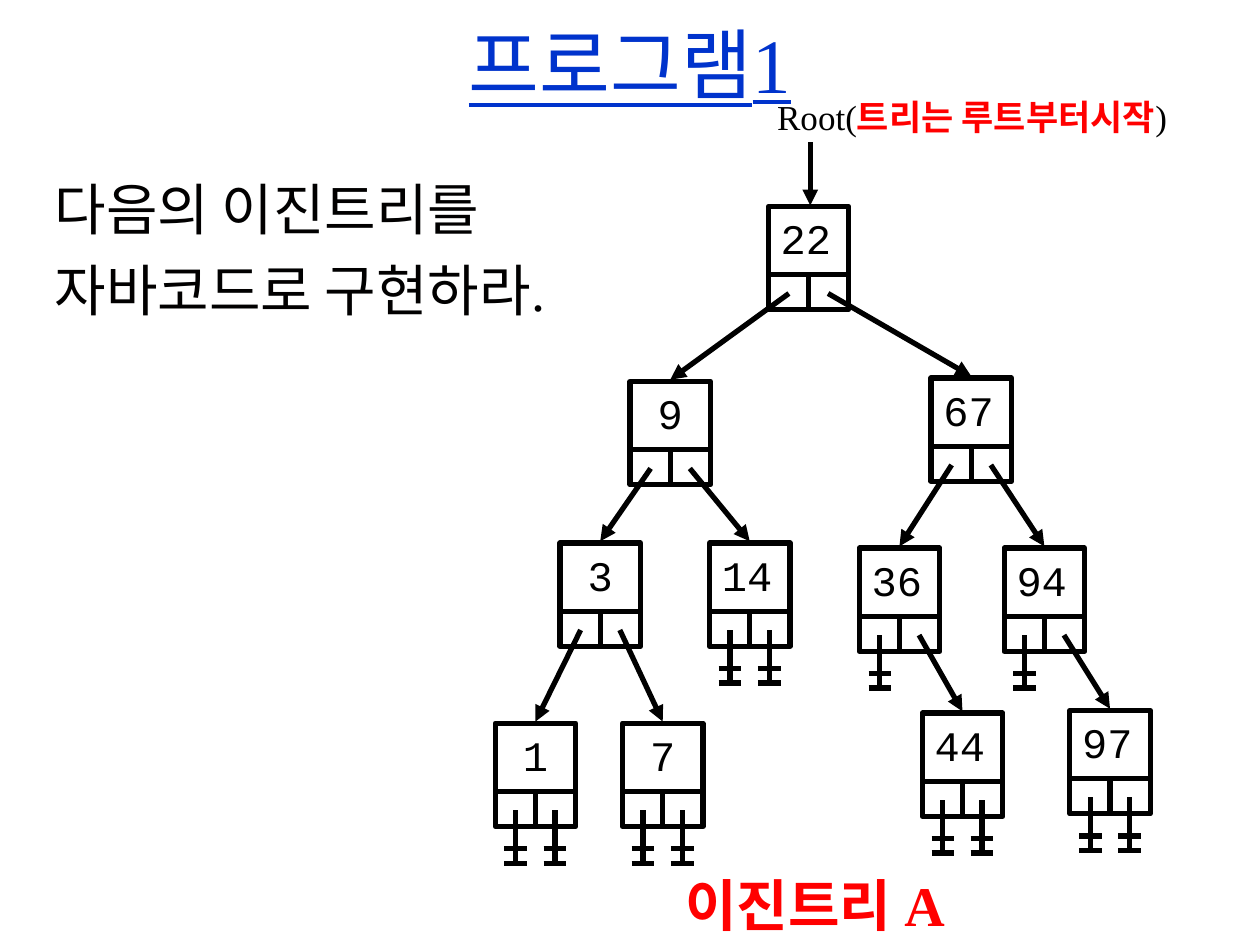
"""Builds a slide that shows a linked binary tree to be written in Java."""
from lxml import etree
from pptx import Presentation
from pptx.dml.color import RGBColor
from pptx.enum.shapes import MSO_CONNECTOR, MSO_SHAPE
from pptx.enum.text import MSO_ANCHOR, MSO_AUTO_SIZE, PP_ALIGN
from pptx.oxml.ns import qn
from pptx.util import Pt

LEFT, CENTER = PP_ALIGN.LEFT, PP_ALIGN.CENTER
TOP, MIDDLE = MSO_ANCHOR.TOP, MSO_ANCHOR.MIDDLE
RECT, STRAIGHT = MSO_SHAPE.RECTANGLE, MSO_CONNECTOR.STRAIGHT

TITLE = "프로그램1"
BODY = ["다음의 이진트리를", "자바코드로 구현하라."]
ROOT_LABEL = [("Root(", "ink", False), ("트리는 루트부터시작", "accent", True), (")", "ink", False)]
CAPTION = [("이진트리 A", "accent", True)]
TREE = {
    22: {"at": (439, 118), "children": (9, 67)},
    9: {"at": (360, 218), "children": (3, 14)},
    67: {"at": (532, 216), "children": (36, 94)},
    3: {"at": (320, 310.3), "children": (1, 7)},
    14: {"at": (405.4, 310.3), "children": (None, None)},
    36: {"at": (491, 313.2), "children": (None, 44)},
    94: {"at": (573.8, 313.2), "children": (None, 97)},
    1: {"at": (283, 413.3), "children": (None, None)},
    7: {"at": (355.7, 413.3), "children": (None, None)},
    44: {"at": (527, 407.5), "children": (None, None)},
    97: {"at": (611.3, 406), "children": (None, None)},
}
THEME = {
    "title": RGBColor(0x00, 0x33, 0xCC),
    "body": RGBColor(0x01, 0x00, 0x00),
    "ink": RGBColor(0x00, 0x00, 0x00),
    "accent": RGBColor(0xFF, 0x00, 0x00),
    "text_font": "Times New Roman",
    "code_font": "Courier New",
    "title_size": 44,
    "body_size": 32,
    "label_size": 20,
    "node_size": 24,
    "line": 3,
}
NODE_W, VALUE_H, LINK_H = 46, 39, 20
LINK_X, LINK_Y = (11.8, 34.2), 49.7
STEM, BAR_Y, BAR_HALF = 32, (22, 30.3), 6.5


def style(r, size, color, font="text_font", bold=False):
    r.font.name = THEME[font]
    r.font.size = Pt(THEME[size])
    r.font.bold = bold
    r.font.color.rgb = THEME[color]


def place(s, left, top, width, height):
    s.left, s.top, s.width, s.height = Pt(left), Pt(top), Pt(width), Pt(height)


def add_line(shapes, x1, y1, x2, y2, arrow=False):
    s = shapes.add_connector(STRAIGHT, Pt(x1), Pt(y1), Pt(x2), Pt(y2))
    s.line.color.rgb = THEME["ink"]
    s.line.width = Pt(THEME["line"])
    if arrow:
        etree.SubElement(s.line._get_or_add_ln(), qn("a:tailEnd"), type="triangle")
    etree.SubElement(s._element.spPr, qn("a:effectLst"))


def add_cell(shapes, left, top, height):
    s = shapes.add_shape(RECT, Pt(left), Pt(top), Pt(NODE_W), Pt(height))
    s.shadow.inherit = False
    s.fill.background()
    s.line.color.rgb = THEME["ink"]
    s.line.width = Pt(THEME["line"])
    return s


def add_node(shapes, value, left, top):
    group = shapes.add_group_shape().shapes
    tf = add_cell(group, left, top, VALUE_H).text_frame
    tf.word_wrap = True
    tf.vertical_anchor = TOP
    tf.text = str(value)
    p = tf.paragraphs[0]
    p.alignment = CENTER if value < 10 else LEFT
    style(p.runs[0], "node_size", "ink", "code_font")
    link_top = top + VALUE_H
    add_cell(group, left, link_top, LINK_H)
    middle = left + NODE_W / 2
    add_line(group, middle, link_top, middle, link_top + LINK_H)


def add_ground(shapes, x, y):
    group = shapes.add_group_shape().shapes
    add_line(group, x, y, x, y + STEM)
    for offset in BAR_Y:
        add_line(group, x - BAR_HALF, y + offset, x + BAR_HALF, y + offset)


def add_label(shapes, parts, size, left, top, width, height):
    s = shapes.add_textbox(Pt(left), Pt(top), Pt(width), Pt(height))
    tf = s.text_frame
    tf.word_wrap = False
    p = tf.paragraphs[0]
    for text, color, bold in parts:
        r = p.add_run()
        r.text = text
        style(r, size, color, bold=bold)


def fill_placeholders(slide):
    title, body = slide.placeholders
    place(title, 0, 0, 720, 72)
    tf = title.text_frame
    tf.text = TITLE
    tf.vertical_anchor = MIDDLE
    tf.paragraphs[0].alignment = CENTER
    r = tf.paragraphs[0].runs[0]
    style(r, "title_size", "title")
    r.font.underline = True

    place(body, 24, 96, 666, 384)
    tf = body.text_frame
    tf.text = "\n".join(BODY)
    tf.auto_size = MSO_AUTO_SIZE.NONE
    for i, p in enumerate(tf.paragraphs):
        pPr = p._p.get_or_add_pPr()
        pPr.set("marL", str(Pt(27)))
        pPr.set("indent", str(Pt(-27)))
        etree.SubElement(pPr, qn("a:buNone"))
        p.space_before = Pt(8 if i else 0)
        style(p.runs[0], "body_size", "body")


def main():
    prs = Presentation()
    prs.slide_width, prs.slide_height = Pt(720), Pt(540)
    slide = prs.slides.add_slide(prs.slide_layouts[1])
    shapes = slide.shapes
    fill_placeholders(slide)

    for value, node in TREE.items():
        add_node(shapes, value, *node["at"])
    for node in TREE.values():
        left, top = node["at"]
        for offset, child in zip(LINK_X, node["children"]):
            x, y = left + offset, top + LINK_Y
            if child is None:
                add_ground(shapes, x, y)
            else:
                child_left, child_top = TREE[child]["at"]
                add_line(shapes, x, y, child_left + NODE_W / 2, child_top - 1, arrow=True)

    add_label(shapes, ROOT_LABEL, "label_size", 437, 51, 248, 32)
    add_line(shapes, 463, 81.4, 463, 117.4, arrow=True)
    add_label(shapes, CAPTION, "body_size", 384.5, 494, 172, 46)
    prs.save("out.pptx")


if __name__ == "__main__":
    main()
